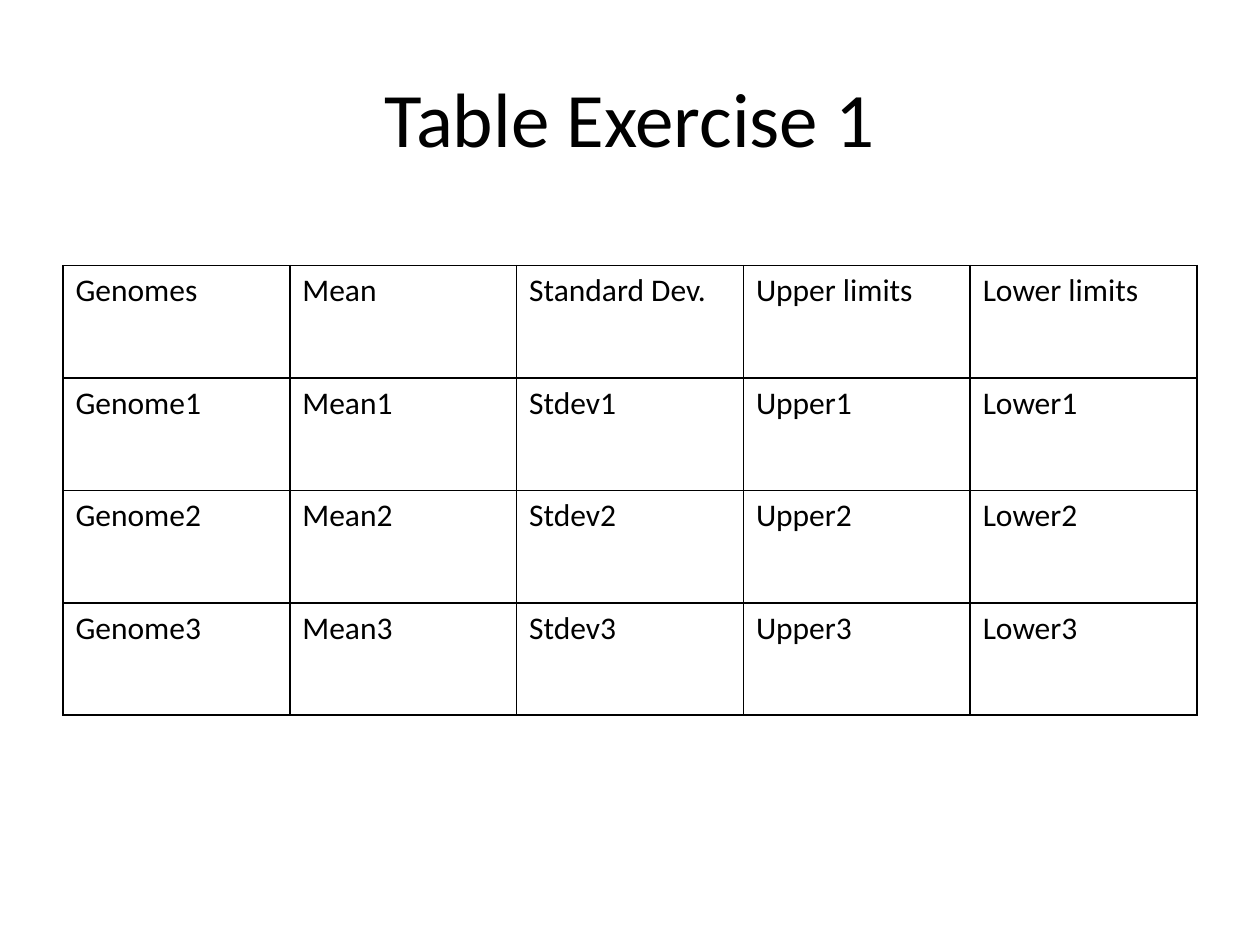
import dataclasses

import lxml.etree
import pptx
import pptx.dml.color
import pptx.enum.text
import pptx.oxml.ns
import pptx.util

BLACK = pptx.dml.color.RGBColor(0x00, 0x00, 0x00)
WHITE = pptx.dml.color.RGBColor(0xFF, 0xFF, 0xFF)
FONT = "Calibri"
SLIDE_W = pptx.util.Inches(10)
SLIDE_H = pptx.util.Inches(7.5)


@dataclasses.dataclass(frozen=True)
class Box:
    left: float
    top: float
    width: float
    height: float

    def lengths(self) -> tuple[int, int, int, int]:
        return (
            round(self.left * SLIDE_W),
            round(self.top * SLIDE_H),
            round(self.width * SLIDE_W),
            round(self.height * SLIDE_H),
        )


@dataclasses.dataclass(frozen=True)
class Column:
    header: str
    stem: str


TITLE_BOX = Box(0.05, 0.04, 0.9, 1 / 6)
TABLE_BOX = Box(0.05, 0.281, 0.9, 0.476)
GENOME_COUNT = 3
COLUMNS = [
    Column("Genomes", "Genome"),
    Column("Mean", "Mean"),
    Column("Standard Dev.", "Stdev"),
    Column("Upper limits", "Upper"),
    Column("Lower limits", "Lower"),
]


def style_text(p, size: float) -> None:
    p.font.name = FONT
    p.font.size = pptx.util.Pt(size)
    p.font.bold = False
    p.font.color.rgb = BLACK


def add_borders(cell, width: float) -> None:
    qn = pptx.oxml.ns.qn
    tc_pr = cell._tc.get_or_add_tcPr()
    for side in ("a:lnL", "a:lnR", "a:lnT", "a:lnB"):
        ln = lxml.etree.SubElement(tc_pr, qn(side), w=str(pptx.util.Pt(width)))
        fill = lxml.etree.SubElement(ln, qn("a:solidFill"))
        lxml.etree.SubElement(fill, qn("a:srgbClr"), val=str(BLACK))


def add_title(s, text: str, box: Box) -> None:
    tf = s.shapes.add_textbox(*box.lengths()).text_frame
    tf.word_wrap = True
    tf.vertical_anchor = pptx.enum.text.MSO_ANCHOR.MIDDLE
    p = tf.paragraphs[0]
    p.text = text
    p.alignment = pptx.enum.text.PP_ALIGN.CENTER
    style_text(p, 44)


def add_genome_table(s, columns: list[Column], count: int, box: Box) -> None:
    table = s.shapes.add_table(count + 1, len(columns), *box.lengths()).table
    table.first_row = False
    table.horz_banding = False
    for c, column in enumerate(columns):
        texts = [column.header] + [f"{column.stem}{n}" for n in range(1, count + 1)]
        for r, text in enumerate(texts):
            cell = table.cell(r, c)
            cell.text = text
            style_text(cell.text_frame.paragraphs[0], 18)
            add_borders(cell, 1)
            cell.fill.solid()
            cell.fill.fore_color.rgb = WHITE


def main() -> None:
    prs = pptx.Presentation()
    prs.slide_width = SLIDE_W
    prs.slide_height = SLIDE_H
    s = prs.slides.add_slide(prs.slide_layouts[6])
    add_title(s, "Table Exercise 1", TITLE_BOX)
    add_genome_table(s, COLUMNS, GENOME_COUNT, TABLE_BOX)
    prs.save("out.pptx")


if __name__ == "__main__":
    main()
